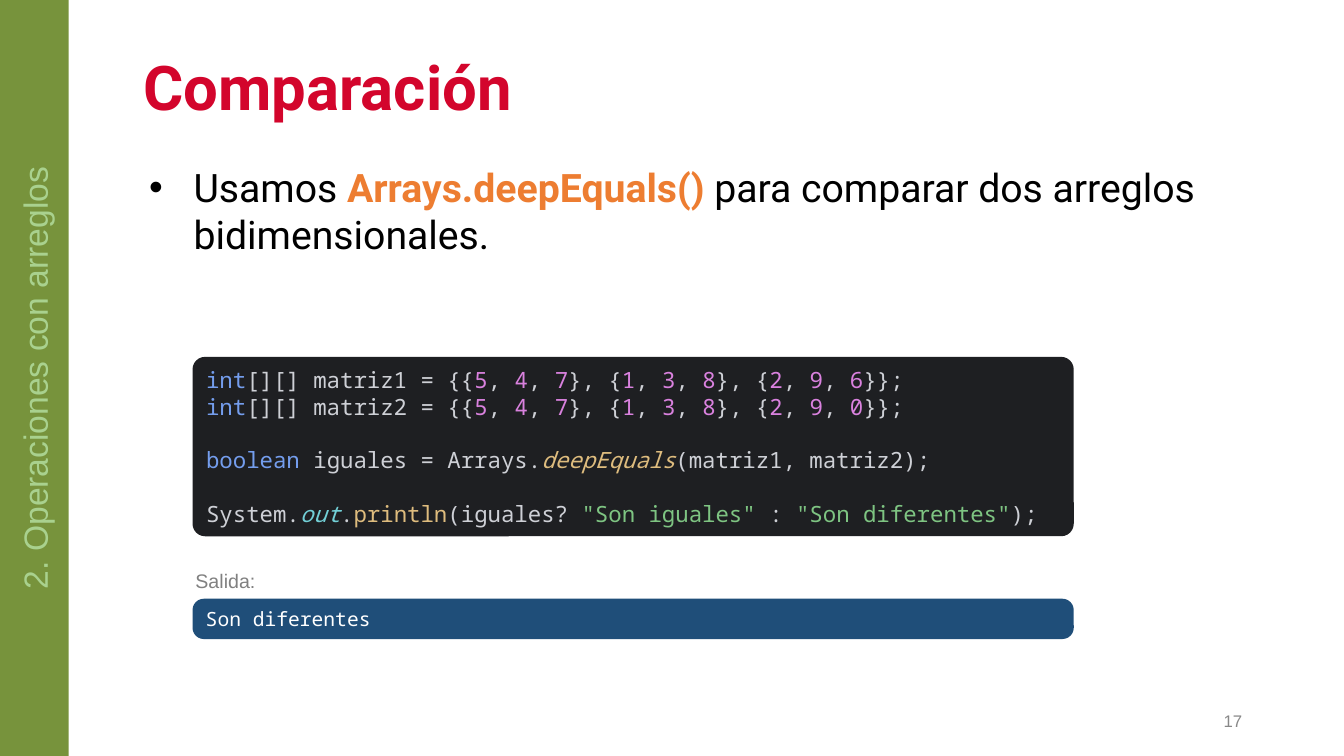
from pptx import Presentation
from pptx.dml.color import RGBColor
from pptx.enum.shapes import MSO_SHAPE
from pptx.enum.text import MSO_ANCHOR, MSO_AUTO_SIZE, PP_ALIGN
from pptx.oxml.ns import qn
from pptx.util import Inches, Pt
from lxml import etree

COLORS = {
    "title": "D3052C",
    "body": "000000",
    "accent": "ED7D31",
    "sidebar": "77933C",
    "sidebar_text": "A9D18E",
    "editor": "1E1F22",
    "output": "1F4E79",
    "output_text": "FFFFFF",
    "label": "808080",
    "page_number": "888888",
    "keyword": "749DED",
    "plain": "CED0D6",
    "number": "D981DE",
    "method": "DEBC7E",
    "field": "72CFD6",
    "string": "7EC482",
}
CODE_FONT = "Noto Sans Mono"
PANEL_LEFT, PANEL_WIDTH = 1.91, 8.74


def color(name):
    return RGBColor.from_string(COLORS[name])


def set_font(paragraph, name, size, color_name, bold=False):
    font = paragraph.font
    font.name, font.size, font.bold = name, Pt(size), bold
    font.color.rgb = color(color_name)


def place(shape, left, top, width, height):
    shape.left, shape.top = Inches(left), Inches(top)
    shape.width, shape.height = Inches(width), Inches(height)


def prepare_frame(shape, anchor=MSO_ANCHOR.MIDDLE, align=PP_ALIGN.LEFT):
    """Set wrapping, anchor and alignment; return the first paragraph."""
    frame = shape.text_frame
    frame.word_wrap = True
    frame.auto_size = MSO_AUTO_SIZE.NONE
    frame.vertical_anchor = anchor
    paragraph = frame.paragraphs[0]
    paragraph.alignment = align
    return paragraph


def add_panel(slide, preset, box, fill, corner=None):
    panel = slide.shapes.add_shape(preset, *map(Inches, box))
    panel.shadow.inherit = False
    panel.fill.solid()
    panel.fill.fore_color.rgb = color(fill)
    panel.line.fill.background()
    if corner is not None:
        panel.adjustments[0] = corner
    return panel


def add_label(slide, text, box, size, color_name, align=PP_ALIGN.LEFT):
    label = slide.shapes.add_textbox(*map(Inches, box))
    paragraph = prepare_frame(label, align=align)
    paragraph.text = text
    set_font(paragraph, "Arial", size, color_name)


def add_title(slide):
    title = slide.shapes.title
    place(title, 1.32, 0.47, 11.1, 0.86)
    paragraph = prepare_frame(title)
    paragraph.text = "Comparación"
    paragraph.line_spacing = 0.9
    set_font(paragraph, "Roboto", 44, "title", bold=True)


def add_body(slide):
    body = slide.placeholders[1]
    place(body, 1.32, 1.57, 11.1, 5.23)
    paragraph = prepare_frame(body, MSO_ANCHOR.TOP)
    paragraph.space_before = Pt(0)
    properties = paragraph._p.get_or_add_pPr()
    properties.set("marL", str(Inches(0.5)))
    properties.set("indent", str(Inches(-0.44)))
    etree.SubElement(properties, qn("a:buFont")).set("typeface", "Arial")
    etree.SubElement(properties, qn("a:buChar")).set("char", "•")
    set_font(paragraph, "Roboto", 28, "body")
    paragraph.add_run().text = "Usamos "
    method = paragraph.add_run()
    method.text = "Arrays.deepEquals()"
    method.font.bold = True
    method.font.color.rgb = color("accent")
    paragraph.add_run().text = " para comparar dos arreglos bidimensionales."


def add_sidebar(slide, text):
    sidebar = add_panel(slide, MSO_SHAPE.RECTANGLE, (0, 0, 0.68, 7.5), "sidebar")
    paragraph = prepare_frame(sidebar, align=PP_ALIGN.CENTER)
    sidebar.text_frame._txBody.bodyPr.set("vert", "vert270")
    paragraph.text = text
    set_font(paragraph, "Arial", 24, "sidebar_text")


def matrix_line(name, rows):
    """Return the coloured tokens of a matrix declaration."""
    tokens = [("int", "keyword")]
    lead = f"[][] {name} = {{{{"
    for row in rows:
        for value in row:
            tokens += [(lead, "plain"), (str(value), "number")]
            lead = ", "
        lead = "}, {"
    return tokens + [("}};", "plain")]


def add_code(slide, lines):
    editor = add_panel(slide, MSO_SHAPE.ROUNDED_RECTANGLE,
                       (PANEL_LEFT, 3.54, PANEL_WIDTH, 1.78), "editor", 0.07)
    paragraph = prepare_frame(editor)
    set_font(paragraph, CODE_FONT, 16, "plain")
    for index, tokens in enumerate(lines):
        if index:
            paragraph.add_line_break()
        for text, kind, *style in tokens:
            run = paragraph.add_run()
            run.text = text
            run.font.color.rgb = color(kind)
            if "italic" in style:
                run.font.italic = True


def add_output(slide, text):
    output = add_panel(slide, MSO_SHAPE.ROUNDED_RECTANGLE,
                       (PANEL_LEFT, 5.94, PANEL_WIDTH, 0.4), "output", 0.28)
    paragraph = prepare_frame(output)
    paragraph.text = text
    set_font(paragraph, CODE_FONT, 14, "output_text")


def main():
    presentation = Presentation()
    presentation.slide_width, presentation.slide_height = Inches(13.33), Inches(7.5)
    slide = presentation.slides.add_slide(presentation.slide_layouts[1])

    add_title(slide)
    add_body(slide)
    add_label(slide, "17", (9.42, 6.95, 3, 0.4), 12, "page_number", PP_ALIGN.RIGHT)
    add_sidebar(slide, "2. Operaciones con arreglos")
    add_code(slide, [
        matrix_line("matriz1", [(5, 4, 7), (1, 3, 8), (2, 9, 6)]),
        matrix_line("matriz2", [(5, 4, 7), (1, 3, 8), (2, 9, 0)]),
        [],
        [("boolean ", "keyword"), ("iguales = Arrays.", "plain"),
         ("deepEquals", "method", "italic"), ("(matriz1, matriz2);", "plain")],
        [],
        [("System.", "plain"), ("out", "field", "italic"), (".", "plain"),
         ("println", "method"), ("(iguales? ", "plain"),
         ('"Son iguales" ', "string"), (": ", "plain"),
         ('"Son diferentes"', "string"), (");", "plain")],
    ])
    add_output(slide, "Son diferentes")
    add_label(slide, "Salida:", (1.84, 5.59, 1.23, 0.34), 14, "label")

    presentation.save("out.pptx")


if __name__ == "__main__":
    main()
